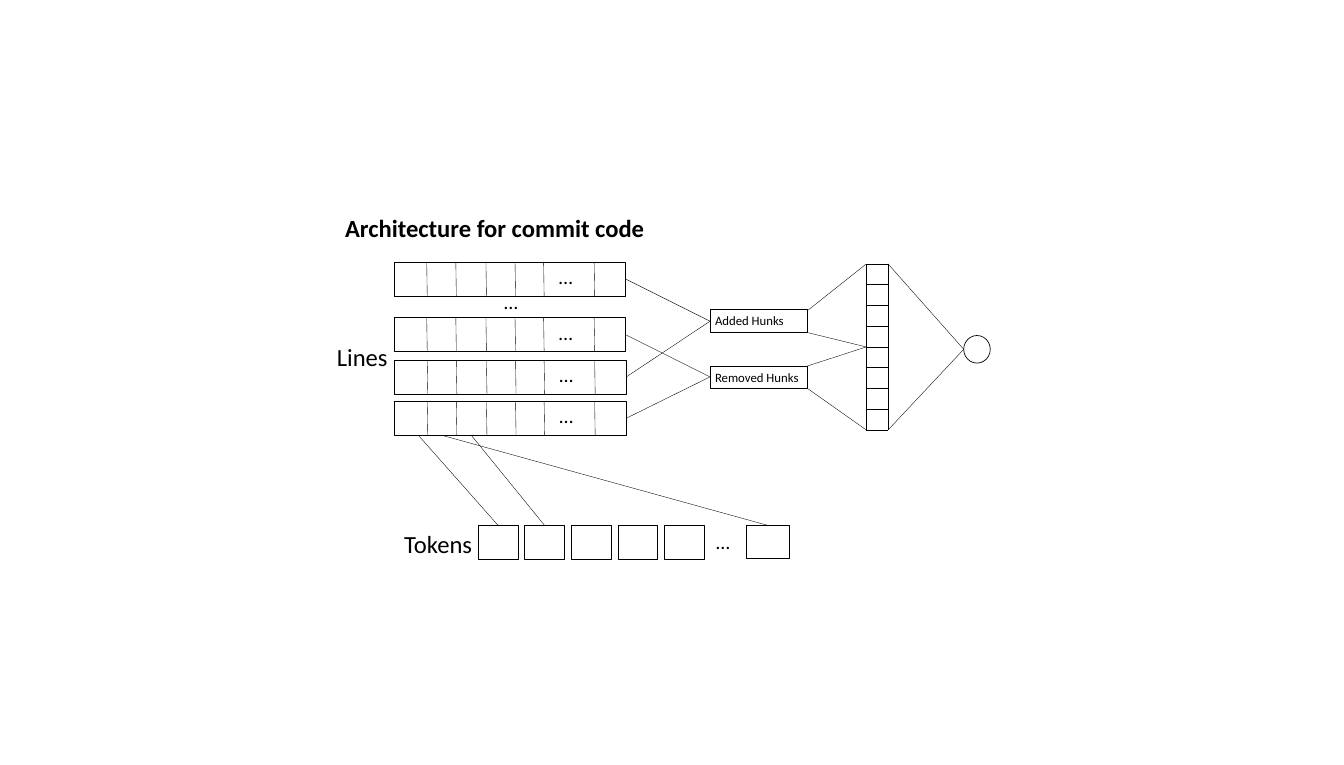
from lxml import etree
from pptx import Presentation
from pptx import util as u
from pptx.dml.color import RGBColor
from pptx.enum import shapes, text
from pptx.oxml import ns

COLORS = {name: RGBColor.from_string(value) for name, value in
          {"ink": "000000", "paper": "FFFFFF"}.items()}
FONT = "Calibri"
LABEL_SIZE, ELLIPSIS_SIZE, HUNK_SIZE = 34.7, 28, 18

presentation = Presentation()
presentation.slide_width = u.Inches(26.33)
presentation.slide_height = u.Inches(14.98)
slide = presentation.slides.add_slide(presentation.slide_layouts[5])


def add_box(left, top, width, height, kind=shapes.MSO_SHAPE.RECTANGLE):
    """Add a white shape with a thin black outline."""
    shape = slide.shapes.add_shape(kind, *map(u.Inches, (left, top, width, height)))
    shape.shadow.inherit = False
    shape.fill.solid()
    shape.fill.fore_color.rgb = COLORS["paper"]
    shape.line.color.rgb = COLORS["ink"]
    shape.line.width = u.Pt(1)
    return shape


def add_line(start, end):
    """Add a hairline between two points."""
    line = slide.shapes.add_connector(
        shapes.MSO_CONNECTOR.STRAIGHT, *map(u.Inches, (*start, *end)))
    line.line.color.rgb = COLORS["ink"]
    line.line.width = u.Pt(0.5)
    etree.SubElement(line._element.spPr, ns.qn("a:effectLst"))


# Title
title = slide.shapes.title
title.left, title.top, title.width, title.height = map(u.Inches, (6.66, 4.11, 6.36, 0.68))
title.text_frame.text = "Architecture for commit code"
title.text_frame.vertical_anchor = text.MSO_ANCHOR.TOP
title.text_frame.word_wrap = True
paragraph = title.text_frame.paragraphs[0]
paragraph.alignment = text.PP_ALIGN.LEFT
paragraph.font.name = FONT
paragraph.font.size = u.Pt(LABEL_SIZE)
paragraph.font.bold = True
paragraph.font.color.rgb = COLORS["ink"]

# Tokens, and the lines that tie them to the last code line
token_top = 10.29
for index in range(5):
    add_box(9.37 + index * 0.912, token_top, 0.78, 0.67)
add_box(14.63, token_top, 0.84, 0.65)
for start, token_x in [((8.05, 8.36), 9.76), ((9.1, 8.36), 10.67), ((8.68, 8.53), 15.05)]:
    add_line(start, (token_x, token_top))

labels = [("Tokens", 7.82, 10.3, 1.82, 0.68, LABEL_SIZE),
          ("Lines", 6.5, 6.64, 1.32, 0.68, LABEL_SIZE),
          ("…", 13.93, 10.33, 0.71, 0.57, ELLIPSIS_SIZE),
          ("…", 9.78, 5.62, 0.71, 0.57, ELLIPSIS_SIZE)]

# Code lines, each split into tokens
row_height = 0.67
for row_left, row_top in [(7.72, 5.13), (7.72, 6.22), (7.73, 7.05), (7.73, 7.86)]:
    add_box(row_left, row_top, 4.54, row_height)
    for offset in (0.64, 1.21, 1.8, 2.37, 2.93, 3.92):
        x = row_left + offset
        add_line((x, row_top), (x + 0.01, row_top + row_height))
    labels.append(("…", row_left + 3.13, row_top, 0.71, 0.57, ELLIPSIS_SIZE))

for label, left, top, width, height, size in labels:
    box = slide.shapes.add_textbox(*map(u.Inches, (left, top, width, height)))
    box.text_frame.word_wrap = True
    box.text_frame.auto_size = text.MSO_AUTO_SIZE.SHAPE_TO_FIT_TEXT
    box.text_frame.text = label
    paragraph = box.text_frame.paragraphs[0]
    paragraph.font.name = FONT
    paragraph.font.size = u.Pt(size)
    paragraph.font.color.rgb = COLORS["ink"]

# Hunks, each with its two code lines and its half of the vector
hunk_left, hunk_right = 13.91, 15.81
vector_left, vector_width, cell_height, cell_count = 16.97, 0.43, 0.406, 4
half_height = cell_height * cell_count
vector_top = 5.17
hunks = [("Added Hunks", 6.05, 0.46, 6.29, (5.47, 7.38), 6.09),
         ("Removed Hunks", 7.17, 0.43, 7.38, (6.56, 8.19), 7.17)]
for index, (name, top, height, entry_y, row_ys, exit_y) in enumerate(hunks):
    hunk = add_box(hunk_left, top, hunk_right - hunk_left, height)
    hunk.text_frame.text = name
    paragraph = hunk.text_frame.paragraphs[0]
    paragraph.font.name = FONT
    paragraph.font.size = u.Pt(HUNK_SIZE)
    paragraph.font.color.rgb = COLORS["ink"]
    for row_y in row_ys:
        add_line((12.27, row_y), (hunk_left, entry_y))

    half_top = vector_top + index * half_height
    table = slide.shapes.add_table(cell_count, 1, *map(
        u.Inches, (vector_left, half_top, vector_width, half_height))).table
    table.first_row = table.horz_banding = False
    for cell in table.iter_cells():
        cell.text_frame.paragraphs[0].font.size = u.Pt(12)
        properties = cell._tc.get_or_add_tcPr()
        for side in ("lnL", "lnR", "lnT", "lnB"):
            border = etree.SubElement(properties, ns.qn(f"a:{side}"), w=str(u.Pt(1)))
            fill = etree.SubElement(border, ns.qn("a:solidFill"))
            etree.SubElement(fill, ns.qn("a:srgbClr"), val=str(COLORS["ink"]))
        cell.fill.solid()
        cell.fill.fore_color.rgb = COLORS["paper"]
    add_line((hunk_right, exit_y), (vector_left, half_top))
    add_line((hunk_right, top + height), (vector_left, half_top + half_height))

# Output node
add_box(18.88, 6.57, 0.52, 0.54, shapes.MSO_SHAPE.OVAL)
for y in (vector_top, vector_top + 2 * half_height):
    add_line((vector_left + vector_width, y), (18.88, 6.84))

presentation.save("out.pptx")
